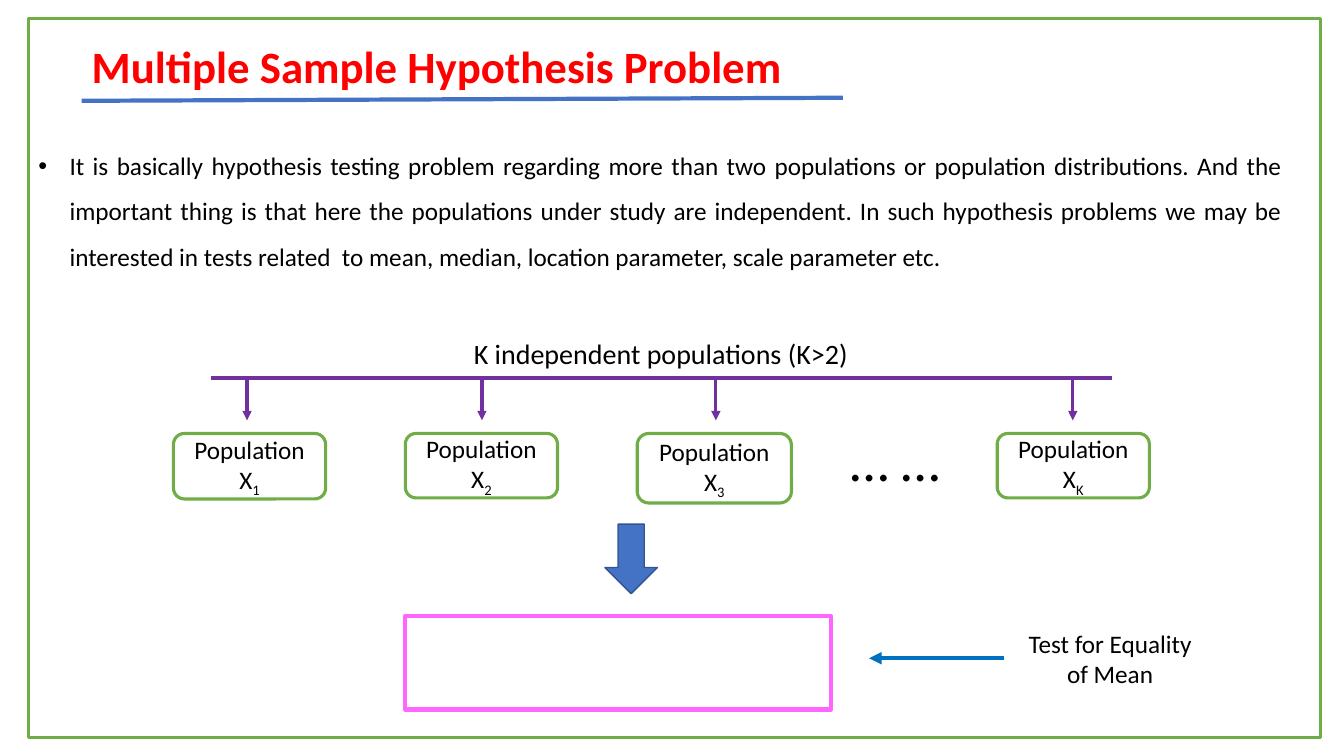
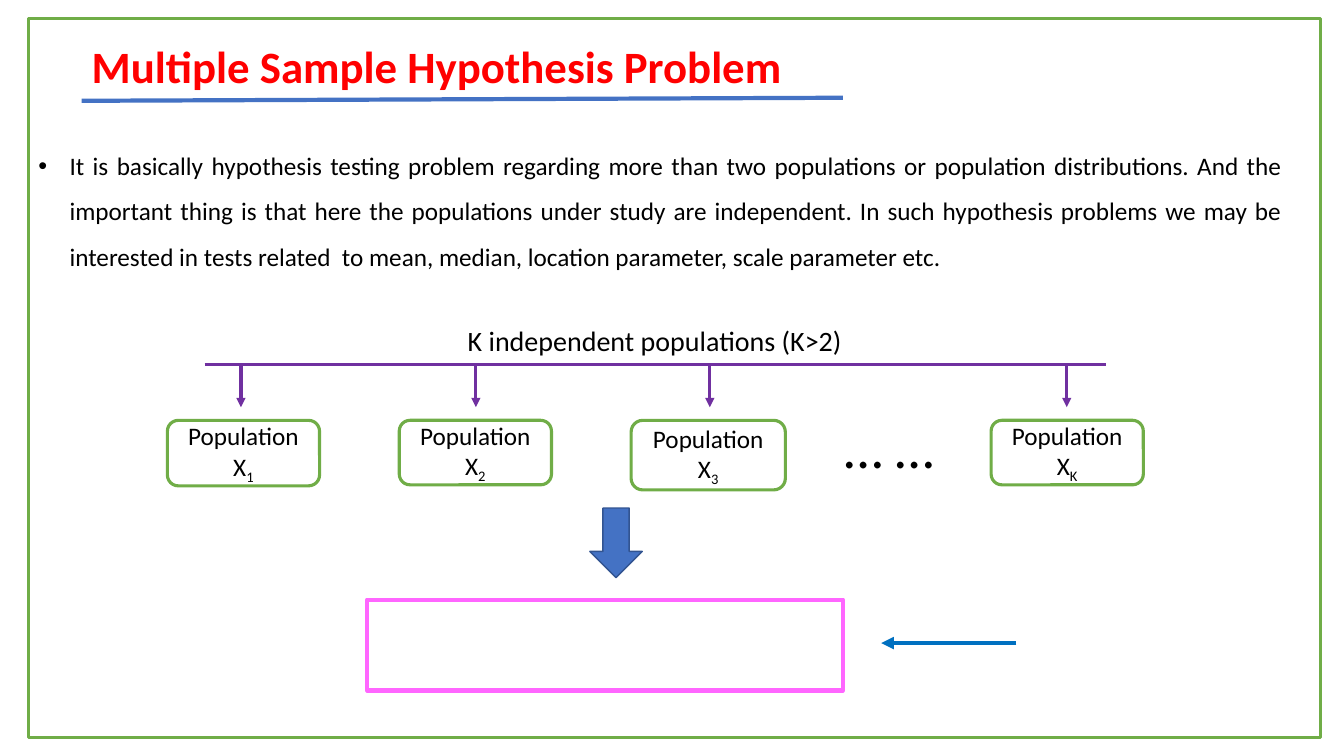
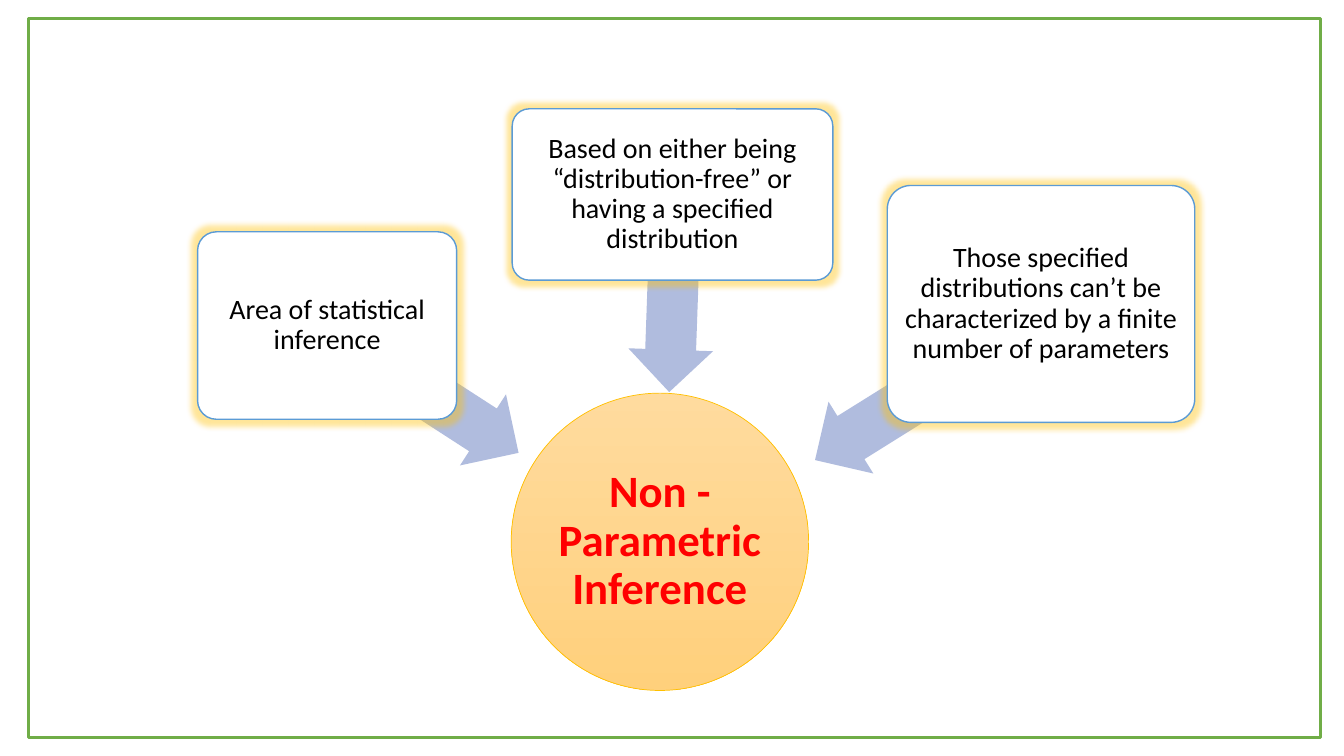
from dataclasses import dataclass
from typing import Optional

import lxml.etree
import pptx
import pptx.dml.color
import pptx.enum.shapes
import pptx.enum.text
import pptx.oxml.ns
import pptx.shapes.autoshape
import pptx.shapes.connector
import pptx.slide
import pptx.text.text
import pptx.util

Inches = pptx.util.Inches
Pt = pptx.util.Pt
qn = pptx.oxml.ns.qn
Shapes = pptx.enum.shapes.MSO_SHAPE
Align = pptx.enum.text.PP_ALIGN
Anchor = pptx.enum.text.MSO_ANCHOR
AutoSize = pptx.enum.text.MSO_AUTO_SIZE


# Theme: colours, font and type sizes
@dataclass(frozen=True)
class Theme:
    font: str = "Calibri"
    title_size: float = 32
    lead_size: float = 20
    body_size: float = 18
    dots_size: float = 40
    text: str = "000000"
    title: str = "FF0000"
    white: str = "FFFFFF"
    green: str = "70AD47"
    blue: str = "4472C4"
    dark_blue: str = "325491"
    purple: str = "7030A0"
    pink: str = "FF66FF"
    pointer: str = "0070C0"
    gold: str = "FFC000"
    circle_top: str = "FFDB9E"
    circle_bottom: str = "FFD07C"
    pale_arrow: str = "B0BCDE"
    card_line: str = "5B9BD5"


THEME = Theme()


@dataclass(frozen=True)
class Box:
    left: float
    top: float
    width: float
    height: float

    def shifted(self, right: float, down: float) -> "Box":
        return Box(self.left + right, self.top + down, self.width, self.height)

    def lengths(self) -> tuple:
        return tuple(Inches(value) for value in (self.left, self.top, self.width, self.height))


@dataclass(frozen=True)
class Population:
    subscript: str
    box: Box
    arrow_x: float


@dataclass(frozen=True)
class ProblemSlide:
    shift: tuple[float, float]
    down_arrow: Box
    result: Box
    pointer_right: float
    pointer_y: float
    label: Optional[Box]


@dataclass(frozen=True)
class Idea:
    text: str
    card: Box
    arrow: Box
    rotation: float


FRAME = Box(0.28, 0.18, 12.82, 7.14)
TITLE = "Multiple Sample Hypothesis Problem"
DEFINITION = (
    "It is basically hypothesis testing problem regarding more than two populations or "
    "population distributions. And the important thing is that here the populations under "
    "study are independent. In such hypothesis problems we may be interested in tests "
    "related  to mean, median, location parameter, scale parameter etc."
)
POPULATIONS = (
    Population("1", Box(1.72, 4.3, 1.51, 0.65), 2.45),
    Population("2", Box(4.02, 4.3, 1.51, 0.64), 4.78),
    Population("3", Box(6.32, 4.3, 1.53, 0.69), 7.1),
    Population("K", Box(9.89, 4.3, 1.51, 0.64), 10.64),
)
PROBLEM_SLIDES = (
    ProblemSlide((0, 0), Box(6, 5.2, 0.52, 0.69), Box(4.02, 6.11, 4.22, 0.93),
                 9.96, 6.53, Box(10.09, 6.18, 1.84, 0.71)),
    ProblemSlide((-0.06, -0.13), Box(5.85, 5.04, 0.52, 0.69), Box(3.64, 5.95, 4.72, 0.9),
                 10.08, 6.38, None),
)
IDEAS = (
    Idea("Area of statistical inference",
         Box(1.96, 2.3, 2.57, 1.86), Box(3, 3.44, 2.33, 0.84), 212.9),
    Idea("Based on either being “distribution-free” or having a specified distribution",
         Box(5.08, 1.08, 3.18, 1.7), Box(5.74, 2.54, 1.86, 0.84), 272),
    Idea("Those specified distributions can’t be characterized by a finite number of parameters",
         Box(8.8, 1.84, 3.05, 2.35), Box(7.87, 3.4, 2.81, 0.84), 328),
)


# Drawing helpers
def rgb(colour: str) -> pptx.dml.color.RGBColor:
    return pptx.dml.color.RGBColor.from_string(colour)


def format_paragraph(paragraph: pptx.text.text._Paragraph, size: float,
                     colour: str = THEME.text, bold: bool = False,
                     align: Align = Align.CENTER) -> None:
    paragraph.alignment = align
    paragraph.font.name = THEME.font
    paragraph.font.size = Pt(size)
    paragraph.font.bold = bold
    paragraph.font.color.rgb = rgb(colour)


def add_shape(slide: pptx.slide.Slide, kind: Shapes, box: Box, fill: Optional[str],
              line: Optional[str], line_width: float = 1) -> pptx.shapes.autoshape.Shape:
    shape = slide.shapes.add_shape(kind, *box.lengths())
    shape.shadow.inherit = False
    if fill:
        shape.fill.solid()
        shape.fill.fore_color.rgb = rgb(fill)
    else:
        shape.fill.background()
    if line:
        shape.line.color.rgb = rgb(line)
        shape.line.width = Pt(line_width)
    else:
        shape.line.fill.background()
    return shape


def add_line(slide: pptx.slide.Slide, start: tuple[float, float], end: tuple[float, float],
             colour: str, width: float, arrow: bool = False) -> None:
    connector = slide.shapes.add_connector(
        pptx.enum.shapes.MSO_CONNECTOR.STRAIGHT,
        *(Inches(value) for value in (*start, *end)))
    connector.line.color.rgb = rgb(colour)
    connector.line.width = Pt(width)
    properties = connector._element.spPr
    if arrow:
        lxml.etree.SubElement(properties.find(qn("a:ln")), qn("a:tailEnd"), type="triangle")
    lxml.etree.SubElement(properties, qn("a:effectLst"))


def add_text(slide: pptx.slide.Slide, box: Box, lines: tuple[str, ...], size: float,
             wrap: bool = True) -> None:
    frame = slide.shapes.add_textbox(*box.lengths()).text_frame
    frame.word_wrap = wrap
    frame.text = "\n".join(lines)
    for paragraph in frame.paragraphs:
        format_paragraph(paragraph, size)


def fill_placeholder(shape: pptx.shapes.autoshape.Shape, box: Box, text: str, size: float,
                     colour: str, bold: bool) -> pptx.text.text.TextFrame:
    shape.left, shape.top, shape.width, shape.height = box.lengths()
    frame = shape.text_frame
    frame.text = text
    frame.word_wrap = True
    frame.auto_size = AutoSize.NONE
    frame.vertical_anchor = Anchor.TOP
    format_paragraph(frame.paragraphs[0], size, colour, bold, Align.JUSTIFY)
    return frame


def fill_shape_text(shape: pptx.shapes.autoshape.Shape, text: str, size: float,
                    inset: float, colour: str = THEME.text, bold: bool = False) -> None:
    frame = shape.text_frame
    frame.text = text
    frame.word_wrap = True
    frame.vertical_anchor = Anchor.MIDDLE
    frame.margin_left = frame.margin_right = Inches(inset)
    frame.margin_top = frame.margin_bottom = Inches(inset)
    format_paragraph(frame.paragraphs[0], size, colour, bold)
    frame.paragraphs[0].line_spacing = 0.9


def add_glow(shape: pptx.shapes.autoshape.Shape, colour: str, radius: float) -> None:
    effects = shape._element.spPr.find(qn("a:effectLst"))
    glow = lxml.etree.SubElement(effects, qn("a:glow"), rad=str(Pt(radius)))
    glow_colour = lxml.etree.SubElement(glow, qn("a:srgbClr"), val=colour)
    lxml.etree.SubElement(glow_colour, qn("a:alpha"), val="40000")


def add_frame(slide: pptx.slide.Slide) -> None:
    add_shape(slide, Shapes.RECTANGLE, FRAME, None, THEME.green, 2.25)


# Slide parts
def add_heading(slide: pptx.slide.Slide) -> None:
    fill_placeholder(slide.shapes.title, Box(0.81, 0.33, 11.65, 0.64), TITLE,
                     THEME.title_size, THEME.title, True)
    add_line(slide, (0.81, 1), (8.36, 0.97), THEME.blue, 3)


def add_definition(slide: pptx.slide.Slide) -> None:
    frame = fill_placeholder(slide.placeholders[1], Box(0.28, 0.83, 12.54, 2.33), DEFINITION,
                             THEME.body_size, THEME.text, False)
    frame.margin_top = Inches(0.51)
    paragraph = frame.paragraphs[0]
    paragraph.line_spacing = 1.5
    paragraph.space_before = Pt(0)
    properties = paragraph._p.get_or_add_pPr()
    properties.set("marL", str(Inches(0.31)))
    properties.set("indent", str(-Inches(0.31)))


def add_population(slide: pptx.slide.Slide, population: Population,
                   right: float, down: float) -> None:
    arrow_x = population.arrow_x + right
    add_line(slide, (arrow_x, 3.75 + down), (arrow_x, 4.17 + down), THEME.purple, 2.25, True)
    shape = add_shape(slide, Shapes.ROUNDED_RECTANGLE, population.box.shifted(right, down),
                      THEME.white, THEME.green, 2.25)
    frame = shape.text_frame
    frame.text = "Population\nX"
    subscript = frame.paragraphs[1].add_run()
    subscript.text = population.subscript
    subscript._r.get_or_add_rPr().set("baseline", "-25000")
    for paragraph in frame.paragraphs:
        format_paragraph(paragraph, THEME.body_size)


def add_population_tree(slide: pptx.slide.Slide, right: float, down: float) -> None:
    add_text(slide, Box(4.42, 3.29, 4.27, 0.44).shifted(right, down),
             ("K independent populations (K>2)",), THEME.lead_size)
    add_line(slide, (2.09 + right, 3.75 + down), (11.03 + right, 3.75 + down),
             THEME.purple, 2.25)
    for population in POPULATIONS:
        add_population(slide, population, right, down)
    add_text(slide, Box(8.24, 4.17, 1.28, 0.77).shifted(right, down), ("… …",),
             THEME.dots_size)


def build_problem_slide(presentation: pptx.presentation.Presentation,
                        problem: ProblemSlide) -> None:
    slide = presentation.slides.add_slide(presentation.slide_layouts[1])
    add_frame(slide)
    add_definition(slide)
    add_heading(slide)
    add_population_tree(slide, *problem.shift)
    # Hypothesis box with its arrows
    add_shape(slide, Shapes.DOWN_ARROW, problem.down_arrow, THEME.blue, THEME.dark_blue)
    add_shape(slide, Shapes.RECTANGLE, problem.result, None, THEME.pink, 3)
    add_line(slide, (problem.pointer_right, problem.pointer_y),
             (problem.pointer_right - 1.34, problem.pointer_y), THEME.pointer, 3, True)
    if problem.label:
        add_text(slide, problem.label, ("Test for Equality", "of Mean"), THEME.body_size,
                 wrap=False)


def build_inference_slide(presentation: pptx.presentation.Presentation) -> None:
    slide = presentation.slides.add_slide(presentation.slide_layouts[6])
    # Central circle
    circle = add_shape(slide, Shapes.OVAL, Box(5.07, 3.9, 2.95, 2.95), None, THEME.gold, 0.5)
    circle.fill.gradient()
    circle.fill.gradient_angle = 270
    for stop, colour in zip(circle.fill.gradient_stops,
                            (THEME.circle_top, THEME.circle_bottom)):
        stop.color.rgb = rgb(colour)
    fill_shape_text(circle, "Non - Parametric Inference", THEME.title_size, 0.02,
                    THEME.title, True)
    # Ideas pointing at the circle
    for idea in IDEAS:
        arrow = add_shape(slide, Shapes.LEFT_ARROW, idea.arrow, THEME.pale_arrow, None)
        arrow.rotation = idea.rotation
        arrow.adjustments[0] = 0.6
        arrow.adjustments[1] = 0.5
        card = add_shape(slide, Shapes.ROUNDED_RECTANGLE, idea.card, THEME.white,
                         THEME.card_line)
        card.adjustments[0] = 0.1
        add_glow(card, THEME.gold, 8)
        fill_shape_text(card, idea.text, THEME.lead_size, 0.04)
    add_frame(slide)


def main() -> None:
    presentation = pptx.Presentation()
    presentation.slide_width = Inches(13.33)
    presentation.slide_height = Inches(7.5)
    for problem in PROBLEM_SLIDES:
        build_problem_slide(presentation, problem)
    build_inference_slide(presentation)
    presentation.save("out.pptx")


if __name__ == "__main__":
    main()
